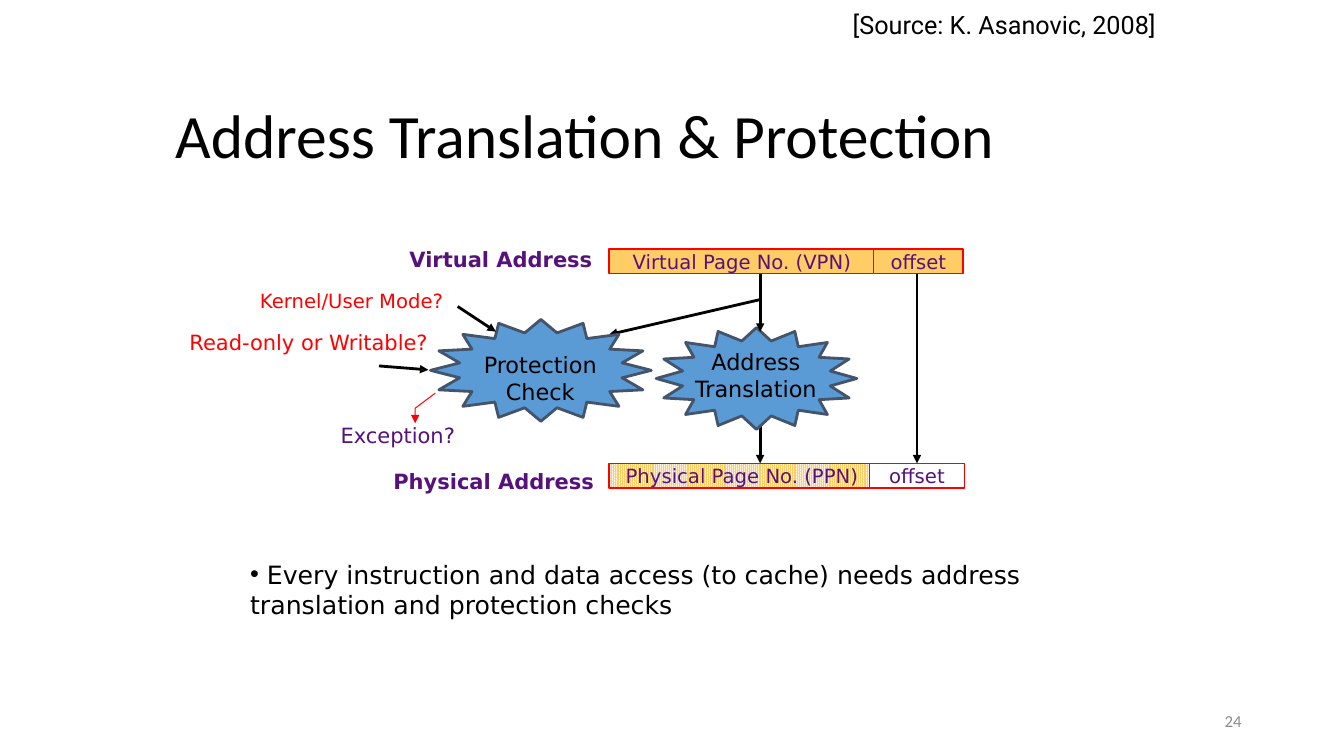
from dataclasses import dataclass, field

from lxml.etree import SubElement
from pptx import Presentation
from pptx.dml.color import RGBColor
from pptx.enum.dml import MSO_PATTERN
from pptx.enum.shapes import MSO_CONNECTOR, MSO_SHAPE
from pptx.enum.text import MSO_ANCHOR, MSO_AUTO_SIZE, PP_ALIGN
from pptx.oxml.ns import qn
from pptx.util import Pt


@dataclass(frozen=True)
class Theme:
    black: str = "000000"
    white: str = "FFFFFF"
    red: str = "FF0000"
    purple: str = "56127A"
    orange: str = "FFCC66"
    blue: str = "5B9BD5"
    slate: str = "44546A"
    gray: str = "8C8C8C"
    title_size: float = 44
    body_size: float = 18
    star_size: float = 16
    label_size: float = 15
    field_size: float = 14
    number_size: float = 12
    sans: str = "DejaVu Sans"
    heading: str = "Calibri"
    source: str = "Roboto"
    bullet: str = "Arial"


@dataclass
class SlideBuilder:
    """Draws styled elements on one slide, with all lengths in points."""

    slide: object
    theme: Theme = field(default_factory=Theme)

    def fill_text(self, shape, text, size, color, font=None, bold=False, bullet=False,
                  paragraph_format=None, **frame_format):
        frame = shape.text_frame
        for name, value in frame_format.items():
            setattr(frame, name, value)
        for index, line in enumerate(text.split("\n")):
            paragraph = frame.add_paragraph() if index else frame.paragraphs[0]
            if bullet:
                properties = paragraph._p.get_or_add_pPr()
                properties.set("marL", "0")
                properties.set("indent", "0")
                SubElement(properties, qn("a:buFont"), typeface=self.theme.bullet)
                SubElement(properties, qn("a:buChar"), char="•")
            for name, value in (paragraph_format or {}).items():
                setattr(paragraph, name, value)
            run = paragraph.add_run()
            run.text = line
            font_format = {"size": Pt(size), "name": font or self.theme.sans, "bold": bold}
            for name, value in font_format.items():
                setattr(run.font, name, value)
            run.font.color.rgb = RGBColor.from_string(color)

    def text(self, box, text, size, color, inset=(7.2, 3.6), **style):
        shape = self.slide.shapes.add_textbox(*map(Pt, box))
        side, end = map(Pt, inset)
        frame_format = {
            "word_wrap": False, "auto_size": MSO_AUTO_SIZE.SHAPE_TO_FIT_TEXT,
            "margin_left": side, "margin_right": side,
            "margin_top": end, "margin_bottom": end,
        }
        self.fill_text(shape, text, size, color, **{**frame_format, **style})

    def outline(self, line, color, width):
        line.color.rgb = RGBColor.from_string(color)
        line.width = Pt(width)

    def shape(self, kind, box, fill, line, width):
        shape = self.slide.shapes.add_shape(kind, *map(Pt, box))
        shape.shadow.inherit = False
        shape.fill.solid()
        shape.fill.fore_color.rgb = RGBColor.from_string(fill)
        self.outline(shape.line, line, width)
        return shape

    def star(self, box):
        theme = self.theme
        shape = self.shape(MSO_SHAPE.STAR_16_POINT, box, theme.blue, theme.slate, 2)
        shape.adjustments[0] = 0.375

    def address_field(self, box, text, fill, patterned=False):
        theme = self.theme
        shape = self.shape(MSO_SHAPE.RECTANGLE, box, fill, theme.red, 1)
        if patterned:
            shape.fill.patterned()
            shape.fill.pattern = MSO_PATTERN.PERCENT_90
            shape.fill.fore_color.rgb = RGBColor.from_string(fill)
            shape.fill.back_color.rgb = RGBColor.from_string(theme.white)
        self.fill_text(shape, text, theme.field_size, theme.purple, word_wrap=False,
                       vertical_anchor=MSO_ANCHOR.MIDDLE,
                       paragraph_format={"alignment": PP_ALIGN.CENTER})
        return shape

    def arrowhead(self, shape):
        SubElement(shape.line._get_or_add_ln(), qn("a:tailEnd"), type="triangle")

    def arrow(self, start, end, target=None):
        connector = self.slide.shapes.add_connector(
            MSO_CONNECTOR.STRAIGHT, *map(Pt, start + end))
        if target is not None:
            connector.end_connect(target, 0)
        self.outline(connector.line, self.theme.black, 2)
        self.arrowhead(connector)
        SubElement(connector._element.spPr, qn("a:effectLst"))

    def bent_arrow(self, points):
        start, *rest = [tuple(map(Pt, point)) for point in points]
        builder = self.slide.shapes.build_freeform(*start)
        builder.add_line_segments(rest, close=False)
        shape = builder.convert_to_shape()
        shape.shadow.inherit = False
        shape.fill.background()
        self.outline(shape.line, self.theme.red, 0.75)
        self.arrowhead(shape)


def main():
    presentation = Presentation()
    presentation.slide_width, presentation.slide_height = Pt(960), Pt(540)
    builder = SlideBuilder(presentation.slides.add_slide(presentation.slide_layouts[6]))
    theme = builder.theme
    tight = (5.2, 2.8)
    centered = {"alignment": PP_ALIGN.CENTER}
    fixed = {"word_wrap": True, "auto_size": MSO_AUTO_SIZE.NONE,
             "vertical_anchor": MSO_ANCHOR.MIDDLE, "font": theme.heading}

    builder.text((120, 71.5, 720, 54.5), "Address Translation & Protection",
                 theme.title_size, theme.black, tight,
                 paragraph_format={"line_spacing": 0.9}, **fixed)
    builder.text((173.5, 396.5, 595.5, 49),
                 " Every instruction and data access (to cache) needs address "
                 "translation and protection checks",
                 theme.body_size, theme.black, tight, bullet=True, word_wrap=True)
    for box, label in (((275.8, 332, 154.8, 24), "Physical Address"),
                       ((287.3, 173.5, 141.8, 24), "Virtual Address")):
        builder.text(box, label, theme.label_size, theme.purple, tight, bold=True)

    virtual_top, physical_top, field_height = 178, 331, 17.5
    translation_x, offset_x = 543, 655
    virtual_bottom = virtual_top + field_height
    builder.arrow((translation_x, 300), (translation_x, physical_top))
    builder.star((468.7, 234, 143.3, 72.7))
    builder.text((489.6, 246.2, 100.8, 45.4), "Address\nTranslation",
                 theme.star_size, theme.black, (6.5, 2.8), paragraph_format=centered)
    builder.arrow((translation_x, virtual_bottom), (translation_x, 237))

    for box, label, fill, patterned in (
            ((435, virtual_top, 190, field_height), "Virtual Page No. (VPN)", theme.orange, False),
            ((624, virtual_top, 64, field_height), "offset", theme.orange, False),
            ((435, physical_top, 190, field_height), "Physical Page No. (PPN)",
             theme.orange, True),
            ((621, physical_top, 68, field_height), "offset", theme.white, False)):
        last_field = builder.address_field(box, label, fill, patterned)
    builder.arrow((offset_x, virtual_bottom), (offset_x, physical_top), last_field)

    builder.arrow((translation_x, 214), (435, 239))
    builder.star((307.5, 228.2, 157.7, 72.7))
    builder.text((337.7, 247, 96.5, 46), "Protection\nCheck",
                 theme.star_size, theme.black, paragraph_format=centered)
    builder.arrow((270.7, 261.4), (306, 264.2))
    builder.arrow((326.9, 218.9), (354.2, 236.9))
    builder.bent_arrow([(311, 280.8), (296.6, 291.6), (296.6, 302.4)])

    for box, question, size, color, wrap in (
            ((236.2, 298, 96.5, 25), "Exception?", theme.label_size, theme.purple, False),
            ((178.6, 203, 149, 24.5), "Kernel/User Mode?", theme.field_size, theme.red, False),
            ((128.2, 231.8, 190.8, 25), "Read-only or Writable?",
             theme.label_size, theme.red, True)):
        builder.text(box, question, size, color, word_wrap=wrap)

    builder.text((602, 3, 238.3, 29), "[Source: K. Asanovic, 2008]",
                 theme.body_size, theme.black, font=theme.source)
    builder.text((678, 500.5, 216, 28.8), "24", theme.number_size, theme.gray,
                 paragraph_format={"alignment": PP_ALIGN.RIGHT}, **fixed)
    presentation.save("out.pptx")


if __name__ == "__main__":
    main()
